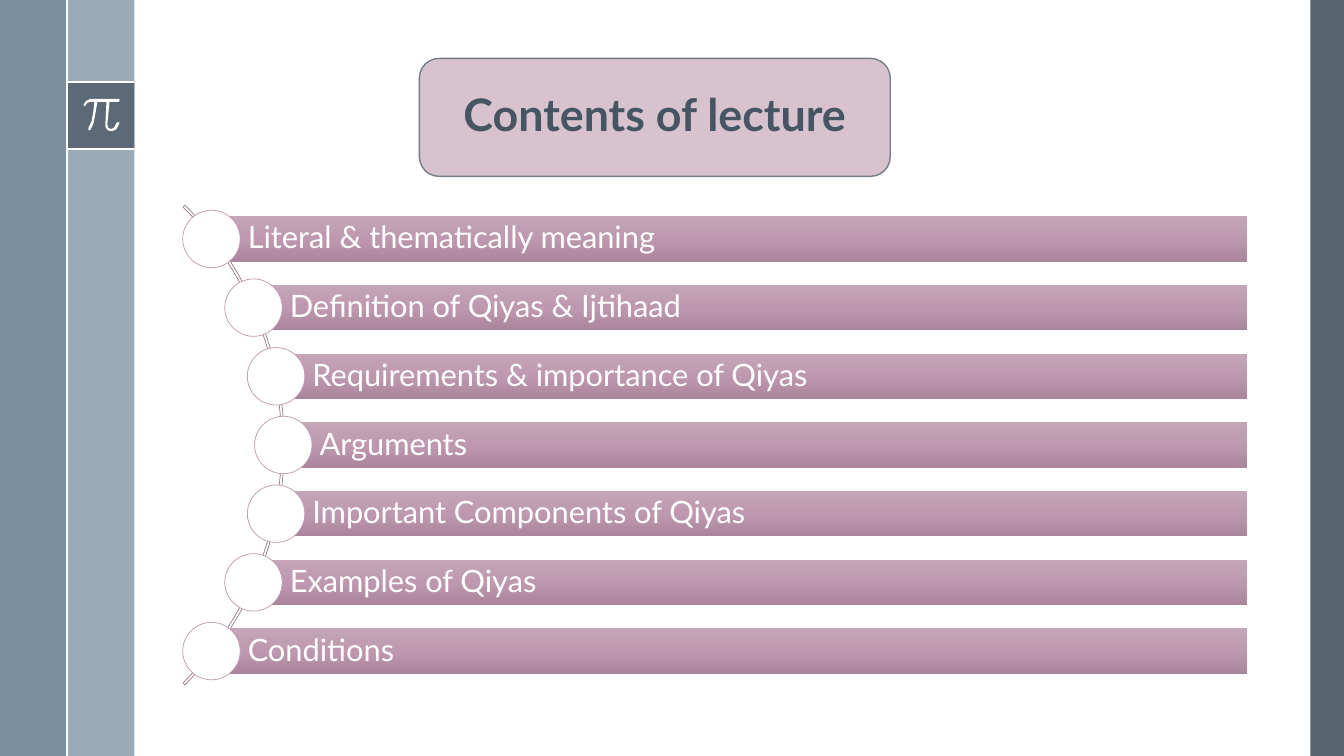
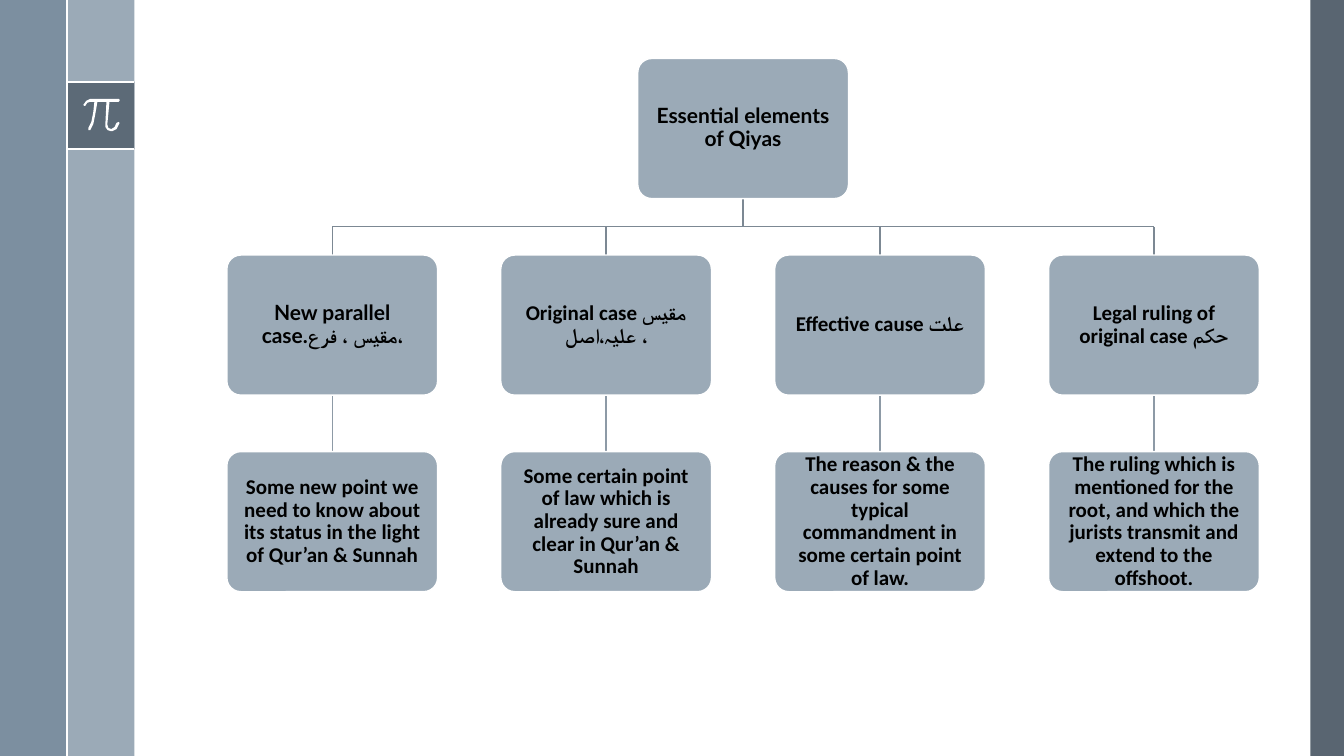
from copy import deepcopy
from math import sqrt
from typing import NamedTuple

from lxml.etree import SubElement
from pptx import Presentation
from pptx.dml.color import RGBColor
from pptx.enum.shapes import MSO_CONNECTOR, MSO_SHAPE
from pptx.enum.text import MSO_ANCHOR, MSO_AUTO_SIZE, PP_ALIGN
from pptx.oxml.ns import qn
from pptx.util import Inches, Pt

WIDTH, HEIGHT = 13.33, 7.5
UNIT = WIDTH / 20

WHITE = RGBColor(0xFF, 0xFF, 0xFF)
BLACK = RGBColor(0x00, 0x00, 0x00)
SLATE = RGBColor(0x47, 0x55, 0x62)
STEEL = RGBColor(0x6A, 0x80, 0x93)
MIST = RGBColor(0x9B, 0xAA, 0xB7)
TITLE_INK = RGBColor(0x46, 0x55, 0x62)
TITLE_FILL = RGBColor(0xD7, 0xC2, 0xCE)
TITLE_EDGE = RGBColor(0x73, 0x7E, 0x87)
ARC_EDGE = RGBColor(0x97, 0x7B, 0x8B)
DOT_EDGE = RGBColor(0xBC, 0x9A, 0xAE)
BRANCH = RGBColor(0x7C, 0x88, 0x93)
TWIG = RGBColor(0x8D, 0x9A, 0xA6)
BAR_TOP = RGBColor(0xC4, 0xA6, 0xB7)
BAR_MIDDLE = RGBColor(0xBE, 0x98, 0xAE)
BAR_BOTTOM = RGBColor(0xAB, 0x85, 0x9B)

TITLE_FONT = {"name": "Lato", "size": Pt(32), "bold": True}
TOPIC_FONT = {"name": "Lato", "size": Pt(22), "bold": False}
CARD_FONT = {"name": "Calibri", "size": Pt(15), "bold": True}
ROOT_FONT = CARD_FONT | {"name": "Lato"}

PI_OUTLINE = [
    (35, 0), (7, 0), (3, 2), (0, 6), (1, 7), (2, 7), (4, 4), (7, 3), (11, 3),
    (10, 13), (8, 23), (5, 29), (5, 31), (7, 31), (10, 25), (12, 15), (14, 3),
    (23, 3), (22, 24), (22, 28), (24, 31), (27, 32), (29, 32), (33, 30),
    (36, 24), (35, 23), (33, 24), (31, 28), (28, 30), (25, 29), (24, 26),
    (24, 24), (26, 3), (35, 3), (36, 2), (36, 1),
]

TOPICS = [
    "Literal & thematically meaning",
    "Definition of Qiyas & Ijtihaad",
    "Requirements & importance of Qiyas",
    "Arguments",
    "Important Components of Qiyas",
    "Examples of Qiyas",
    "Conditions",
]

ELEMENTS = [
    ("New parallel case.مقیس ، فرع،", ROOT_FONT,
     "Some new point we need to know about its status in the light of "
     "Qur’an & Sunnah"),
    ("Original case مقیس علیہ،اصل ،", CARD_FONT,
     "Some certain point of law which is already sure and clear in "
     "Qur’an & Sunnah"),
    ("Effective cause علت", CARD_FONT,
     "The reason & the causes for some typical commandment in some certain "
     "point of law."),
    ("Legal ruling of original case حکم", CARD_FONT,
     "The ruling which is mentioned for the root, and which the jurists "
     "transmit and extend to the offshoot."),
]


class Box(NamedTuple):
    """A rectangle in inches."""
    left: float
    top: float
    width: float
    height: float

    def emu(self):
        """Return the four lengths as EMU."""
        return [Inches(length) for length in self]


def assign(target, values):
    """Set every attribute named in the dict of values."""
    for attribute, value in values.items():
        setattr(target, attribute, value)


def set_line(line, color, points):
    """Give a line its colour and width, or hide it."""
    if color is None:
        line.fill.background()
    else:
        line.color.rgb = color
        line.width = Pt(points)


def add_block(slide, kind, box, fill=None, edge=None, points=1, opacity=100):
    """Add a preset shape without shadow."""
    block = slide.shapes.add_shape(kind, *box.emu())
    block.shadow.inherit = False
    if fill is None:
        block.fill.background()
    else:
        block.fill.solid()
        block.fill.fore_color.rgb = fill
    if opacity < 100:
        color = block.element.spPr.find(qn("a:solidFill"))[0]
        SubElement(color, qn("a:alpha"), val=str(opacity * 1000))
    set_line(block.line, edge, points)
    return block


def add_rule(slide, start, end, color, points):
    """Add a straight line without shadow."""
    ends = [Inches(length) for length in (*start, *end)]
    rule = slide.shapes.add_connector(MSO_CONNECTOR.STRAIGHT, *ends)
    set_line(rule.line, color, points)
    SubElement(rule.element.spPr, qn("a:effectLst"))


def write(shape, text, font, color, align, inset, left_inset=None):
    """Write one vertically centred paragraph into a shape."""
    frame = shape.text_frame
    assign(frame, {
        "text": text,
        "word_wrap": True,
        "auto_size": MSO_AUTO_SIZE.NONE,
        "vertical_anchor": MSO_ANCHOR.MIDDLE,
        "margin_left": Inches(left_inset or inset),
        "margin_right": Inches(inset),
        "margin_top": Inches(inset),
        "margin_bottom": Inches(inset),
    })
    paragraph = frame.paragraphs[0]
    assign(paragraph, {"alignment": align, "line_spacing": 0.9})
    assign(paragraph.font, font)
    paragraph.font.color.rgb = color


def write_title(slide, box, text, font, color):
    """Move the title placeholder over its panel and fill it."""
    title = slide.shapes.title
    assign(title, dict(zip(("left", "top", "width", "height"), box.emu())))
    write(title, text, font, color, PP_ALIGN.CENTER, 0.1)
    slide.shapes.element.append(title.element)


def add_frame(slide):
    """Draw the side bands and the pi badge."""
    badge = Box(UNIT, 0.81, UNIT, UNIT)
    bands = [
        (Box(WIDTH - UNIT / 2, 0, UNIT / 2, HEIGHT), SLATE, 90),
        (Box(UNIT, 0, UNIT, HEIGHT), MIST, 100),
        (Box(0, 0, UNIT, HEIGHT), STEEL, 88),
        (badge, SLATE, 75),
    ]
    for box, fill, opacity in bands:
        add_block(slide, MSO_SHAPE.RECTANGLE, box, fill, opacity=opacity)
    for y in (badge.top, badge.top + badge.height):
        add_rule(slide, (UNIT, y), (2 * UNIT, y), WHITE, 1.5)
    add_rule(slide, (UNIT, 0), (UNIT, HEIGHT), WHITE, 1.5)

    outline = slide.shapes.build_freeform(*PI_OUTLINE[0], scale=Inches(0.01))
    outline.add_line_segments(PI_OUTLINE[1:], close=True)
    pi = outline.convert_to_shape(Inches(badge.left + 0.16),
                                  Inches(badge.top + 0.17))
    pi.shadow.inherit = False
    pi.fill.solid()
    pi.fill.fore_color.rgb = WHITE
    set_line(pi.line, None, 0)


def share_frame(slide, layout):
    """Draw the frame once and hand it to the layout."""
    add_frame(slide)
    parts = [shape for shape in slide.shapes if not shape.is_placeholder]
    for number, part in enumerate(parts, start=100):
        part.element.xpath(".//p:cNvPr")[0].set("id", str(number))
        layout.shapes.element.append(part.element)


def shade_bar(bar):
    """Fill a bar with the three-stop vertical gradient."""
    bar.fill.gradient()
    bar.fill.gradient_angle = 270
    stop_list = bar.element.xpath(".//a:gsLst")[0]
    stop_list.insert(1, deepcopy(stop_list[0]))
    shades = zip(bar.fill.gradient_stops, (BAR_TOP, BAR_MIDDLE, BAR_BOTTOM),
                 (0, 0.5, 1))
    for stop, color, position in shades:
        stop.color.rgb = color
        stop.position = position


def add_topics(slide, box, topics):
    """Hang the topic bars along an arc at the left of the box."""
    middle = box.top + box.height / 2
    pitch = box.height / len(topics)
    dot_size, bar_height, ring = 0.57, 0.45, 3.29
    ring_center = box.left + 1 - ring
    arc_size = 6.73
    arc = add_block(slide, MSO_SHAPE.BLOCK_ARC,
                    Box(box.left - 5.72, middle - arc_size / 2,
                        arc_size, arc_size), edge=ARC_EDGE, points=0.5)
    for index, value in enumerate((189, 27, 0.004)):
        arc.adjustments[index] = value

    for index, topic in enumerate(topics):
        y = box.top + pitch * (index + 0.5)
        x = ring_center + sqrt(ring ** 2 - (y - middle) ** 2)
        bar = add_block(slide, MSO_SHAPE.RECTANGLE,
                        Box(x, y - bar_height / 2,
                            box.left + box.width - x, bar_height))
        shade_bar(bar)
        write(bar, topic, TOPIC_FONT, WHITE, PP_ALIGN.LEFT, 0.06, 0.36)
        add_block(slide, MSO_SHAPE.OVAL,
                  Box(x - dot_size / 2, y - dot_size / 2, dot_size, dot_size),
                  WHITE, DOT_EDGE, 0.5)


def add_card(slide, box):
    """Add one rounded card of the tree."""
    card = add_block(slide, MSO_SHAPE.ROUNDED_RECTANGLE, box, MIST, WHITE)
    card.adjustments[0] = 0.1
    return card


def add_tree(slide, box, root_text, elements):
    """Draw a root card over columns of element and explanation."""
    card_width, card_height = 2.09, 1.39
    column_pitch = (box.width - card_width) / (len(elements) - 1)
    row_pitch = (box.height - card_height) / 2
    gap = row_pitch - card_height
    tops = [box.top + row * row_pitch for row in range(3)]
    lefts = [box.left + column * column_pitch
             for column in range(len(elements))]
    centers = [left + card_width / 2 for left in lefts]
    middle = box.left + box.width / 2
    bus = tops[1] - gap / 2

    add_rule(slide, (middle, bus - gap / 2), (middle, bus), BRANCH, 1)
    add_rule(slide, (centers[0], bus), (centers[-1], bus), BRANCH, 1)
    for center in centers:
        add_rule(slide, (center, bus), (center, tops[1]), BRANCH, 1)
        add_rule(slide, (center, tops[2] - gap), (center, tops[2]), TWIG, 1)

    root = Box(middle - card_width / 2, tops[0], card_width, card_height)
    add_card(slide, root)
    write_title(slide, root, root_text, ROOT_FONT, BLACK)
    for left, (name, name_font, meaning) in zip(lefts, elements):
        rows = ((tops[1], name, name_font), (tops[2], meaning, CARD_FONT))
        for top, text, font in rows:
            card = add_card(slide, Box(left, top, card_width, card_height))
            write(card, text, font, BLACK, PP_ALIGN.CENTER, 0.1)


def main():
    """Build and save both slides."""
    deck = Presentation()
    assign(deck, {"slide_width": Inches(WIDTH), "slide_height": Inches(HEIGHT)})
    layout = deck.slide_layouts[5]

    contents = deck.slides.add_slide(layout)
    share_frame(contents, layout)
    add_topics(contents, Box(1.81, 2.03, 10.56, 4.77), TOPICS)
    panel = Box(4.16, 0.58, 4.67, 1.17)
    add_block(contents, MSO_SHAPE.ROUNDED_RECTANGLE, panel, TITLE_FILL,
              TITLE_EDGE)
    write_title(contents, panel, "Contents of lecture", TITLE_FONT, TITLE_INK)

    essentials = deck.slides.add_slide(layout)
    add_tree(essentials, Box(2.25, 0.58, 10.24, 5.29),
             "Essential elements of Qiyas", ELEMENTS)
    deck.save("out.pptx")


if __name__ == "__main__":
    main()
